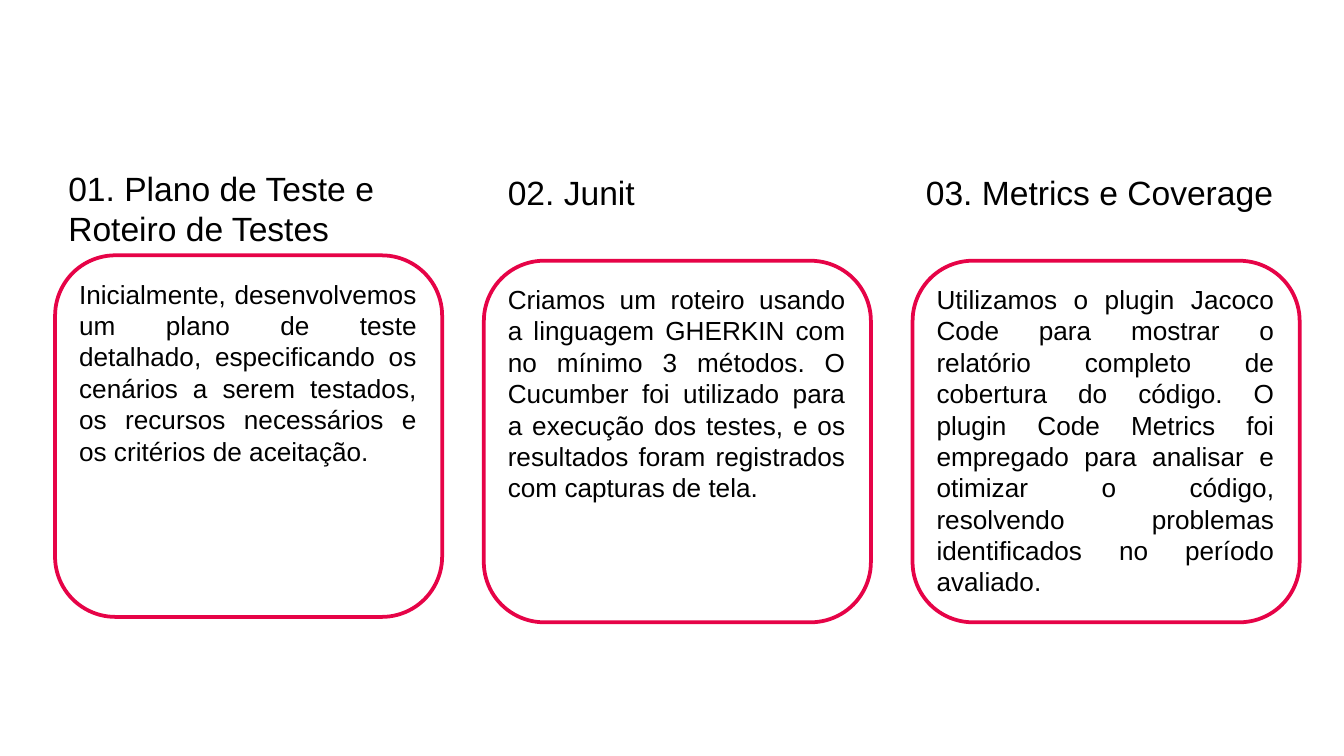
from pptx import Presentation
from pptx.dml.color import RGBColor
from pptx.enum.shapes import MSO_SHAPE
from pptx.enum.text import MSO_AUTO_SIZE, PP_ALIGN
from pptx.util import Inches, Pt

COLORS = {"text": "000000", "card": "FFFFFF", "border": "E60347"}
FONT = "Arial"
SLIDE_W = 10
SLIDE_H = SLIDE_W * 9 / 16
CARD_W, CARD_H = 2.88, 2.69
CARD_LEFT, CARD_STEP = 0.41, 3.19
BODY_INSET, BODY_DROP, BODY_W = 0.08, 0.12, 2.71

# Each title is (text, left, top, width, height)
STEPS = [
    {
        "title": ("01. Plano de Teste e Roteiro de Testes", 0.41, 1.2, 2.88, 0.71),
        "body": "Inicialmente, desenvolvemos um plano de teste detalhado, "
                "especificando os cenários a serem testados, os recursos "
                "necessários e os critérios de aceitação.",
        "card_top": 1.9,
        "body_h": 1.51,
    },
    {
        "title": ("02. Junit", 3.68, 1.23, 2.71, 0.4),
        "body": "Criamos um roteiro usando a linguagem GHERKIN com no mínimo 3 "
                "métodos. O Cucumber foi utilizado para a execução dos testes, e "
                "os resultados foram registrados com capturas de tela.",
        "card_top": 1.94,
        "body_h": 1.75,
    },
    {
        "title": ("03. Metrics e Coverage", 6.79, 1.23, 2.88, 0.4),
        "body": "Utilizamos o plugin Jacoco Code para mostrar o relatório completo "
                "de cobertura do código. O plugin Code Metrics foi empregado para "
                "analisar e otimizar o código, resolvendo problemas identificados "
                "no período avaliado.",
        "card_top": 1.94,
        "body_h": 2.22,
    },
]


def color(name):
    return RGBColor.from_string(COLORS[name])


def add_card(s, left, top):
    sp = s.shapes.add_shape(MSO_SHAPE.ROUNDED_RECTANGLE, Inches(left), Inches(top),
                            Inches(CARD_W), Inches(CARD_H))
    sp.shadow.inherit = False
    sp.fill.solid()
    sp.fill.fore_color.rgb = color("card")
    sp.line.color.rgb = color("border")
    sp.line.width = Pt(2)


def add_text(s, text, left, top, width, height, size, align=PP_ALIGN.LEFT):
    tf = s.shapes.add_textbox(Inches(left), Inches(top),
                              Inches(width), Inches(height)).text_frame
    tf.word_wrap = True
    tf.auto_size = MSO_AUTO_SIZE.SHAPE_TO_FIT_TEXT
    tf.text = text
    p = tf.paragraphs[0]
    p.alignment = align
    font = p.runs[0].font
    font.name = FONT
    font.size = Pt(size)
    font.color.rgb = color("text")


def main():
    prs = Presentation()
    prs.slide_width, prs.slide_height = Inches(SLIDE_W), Inches(SLIDE_H)
    s = prs.slides.add_slide(prs.slide_layouts[6])
    for i, step in enumerate(STEPS):
        left, top = CARD_LEFT + i * CARD_STEP, step["card_top"]
        add_card(s, left, top)
        add_text(s, *step["title"], size=18)
        add_text(s, step["body"], left + BODY_INSET, top + BODY_DROP,
                 BODY_W, step["body_h"], size=14, align=PP_ALIGN.JUSTIFY)
    prs.save("out.pptx")


if __name__ == "__main__":
    main()
